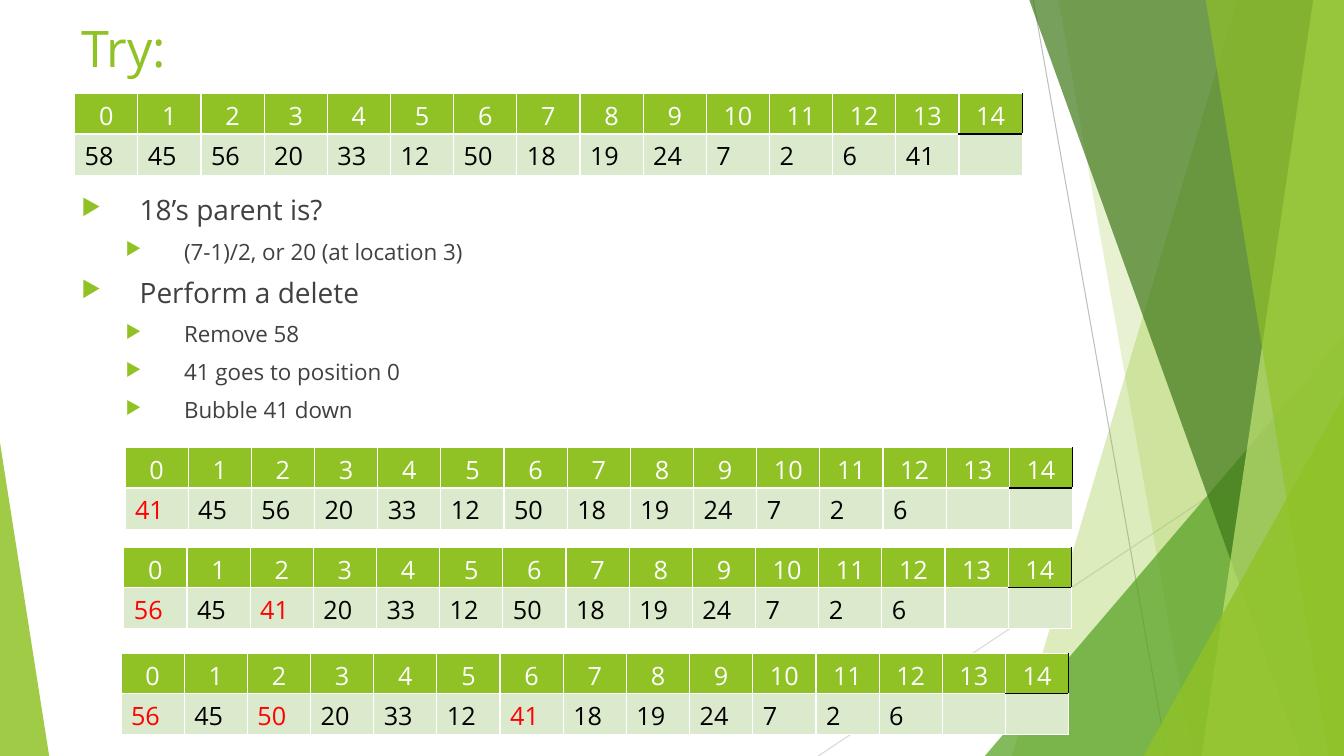
from lxml import etree
from pptx import Presentation
from pptx import util as u
from pptx.dml.color import RGBColor
from pptx.enum import shapes, text
from pptx.oxml import ns

GREEN = RGBColor(0x90, 0xC2, 0x26)
MID_GREEN = RGBColor(0x54, 0xA0, 0x21)
DARK_GREEN = RGBColor(0x3F, 0x78, 0x19)
LIGHT_GREEN = RGBColor(0xC0, 0xE4, 0x74)
PALE_GREEN = RGBColor(0xDB, 0xE9, 0xCD)
GREY = RGBColor(0xBF, 0xBF, 0xBF)
LIGHT_GREY = RGBColor(0xD9, 0xD9, 0xD9)
BODY_GREY = RGBColor(0x40, 0x40, 0x40)
WHITE = RGBColor(0xFF, 0xFF, 0xFF)
BLACK = RGBColor(0, 0, 0)
RED = RGBColor(0xFF, 0, 0)
FONT = "Open Sans"

WIDTH, HEIGHT = 33.87, 19.05
PANEL_TOP = -0.03

TITLE = "Try:"
TITLE_BOX = (1.8, 0.43, 23.88, 2.39)
BULLET_BOX = (1.8, 4.83, 27.41, 6.83)
BULLETS = [
    (0, "18’s parent is?"),
    (1, "(7-1)/2, or 20 (at location 3)"),
    (0, "Perform a delete"),
    (1, "Remove 58"),
    (1, "41 goes to position 0"),
    (1, "Bubble 41 down"),
]
LEVELS = [(20, 1.47), (16, 2.59)]
HANGING = 1.47

SLOTS = 15
TABLE_WIDTH = 23.88
ROW_HEIGHTS = (0.99, 1.04)
HEAPS = [
    (1.88, 2.36, [58, 45, 56, 20, 33, 12, 50, 18, 19, 24, 7, 2, 6, 41], ()),
    (3.15, 11.28, [41, 45, 56, 20, 33, 12, 50, 18, 19, 24, 7, 2, 6], (0,)),
    (3.12, 13.79, [56, 45, 41, 20, 33, 12, 50, 18, 19, 24, 7, 2, 6], (0, 2)),
    (3.05, 16.46, [56, 45, 50, 20, 33, 12, 41, 18, 19, 24, 7, 2, 6], (0, 2, 6)),
]

LINES = [
    ((26.04, 0, 29.41, HEIGHT), GREY),
    ((WIDTH, 10.24, 20.62, HEIGHT), LIGHT_GREY),
]
DECORATIONS = [
    ("panel", (31.19, 25.5), GREEN, 30),
    ("panel", (26.67, 30.05), GREEN, 20),
    ("triangle", (24.82, 8.46, 9.05, 10.59, 1), MID_GREEN, 72),
    ("panel", (25.93, 32.79), DARK_GREEN, 70),
    ("panel", (33.1, 30.28), LIGHT_GREEN, 70),
    ("panel", (30.38, 33.48), GREEN, 65),
    ("triangle", (28.82, 9.98, 5.05, 9.07, 1), GREEN, 80),
    ("triangle", (0, 11.15, 1.24, 7.9, 0), GREEN, 85),
]


def lengths(values):
    return [u.Cm(value) for value in values]


def add_element(parent, tag, **attributes):
    return etree.SubElement(parent, ns.qn(tag), attributes)


def write_run(paragraph, words, size, color):
    run = paragraph.add_run()
    run.text = words
    run.font.color.rgb = color
    for name, value in {"size": u.Pt(size), "name": FONT}.items():
        setattr(run.font, name, value)


def add_line(slide, ends, color):
    line = slide.shapes.add_connector(shapes.MSO_CONNECTOR.STRAIGHT, *lengths(ends))
    line.line.color.rgb = color
    line.line.width = u.Pt(0.75)
    add_element(line.element.spPr, "a:effectLst")


def add_decoration(slide, kind, geometry, color, opacity):
    if kind == "panel":
        top_left, bottom_left = geometry
        corners = [(WIDTH, PANEL_TOP), (WIDTH, HEIGHT), (bottom_left, HEIGHT)]
        builder = slide.shapes.build_freeform(u.Cm(top_left), u.Cm(PANEL_TOP))
        builder.add_line_segments([lengths(corner) for corner in corners])
        shape = builder.convert_to_shape()
    else:
        *box, apex = geometry
        shape = slide.shapes.add_shape(
            shapes.MSO_SHAPE.ISOSCELES_TRIANGLE, *lengths(box))
        shape.adjustments[0] = apex
    shape.shadow.inherit = False
    shape.fill.solid()
    shape.fill.fore_color.rgb = color
    shape.line.fill.background()
    fill_color = shape.element.spPr.find(".//" + ns.qn("a:srgbClr"))
    add_element(fill_color, "a:alpha", val=str(opacity * 1000))


def add_title(slide):
    title = slide.shapes.title
    for name, value in zip(("left", "top", "width", "height"), lengths(TITLE_BOX)):
        setattr(title, name, value)
    frame = title.text_frame
    frame_format = {"vertical_anchor": text.MSO_ANCHOR.TOP, "margin_top": 0,
                    "word_wrap": True}
    for name, value in frame_format.items():
        setattr(frame, name, value)
    paragraph = frame.paragraphs[0]
    paragraph.alignment = text.PP_ALIGN.LEFT
    write_run(paragraph, TITLE, 36, GREEN)
    slide.shapes.element.append(title.element)


def add_bullets(slide):
    frame = slide.shapes.add_textbox(*lengths(BULLET_BOX)).text_frame
    frame.word_wrap = True
    for index, (level, words) in enumerate(BULLETS):
        paragraph = frame.add_paragraph() if index else frame.paragraphs[0]
        size, indent = LEVELS[level]
        paragraph_format = {"level": level, "space_before": u.Pt(10),
                            "line_spacing": 0.9}
        for name, value in paragraph_format.items():
            setattr(paragraph, name, value)
        write_run(paragraph, words, size, BODY_GREY)
        properties = paragraph.element.get_or_add_pPr() if hasattr(
            paragraph, "element") else paragraph._p.get_or_add_pPr()
        properties.set("marL", str(u.Cm(indent)))
        properties.set("indent", str(-u.Cm(HANGING)))
        bullet_color = add_element(properties, "a:buClr")
        add_element(bullet_color, "a:srgbClr", val=str(GREEN))
        add_element(properties, "a:buSzPct", val="80000")
        add_element(properties, "a:buChar", char="▶")


def set_borders(cell, black_sides):
    properties = cell._tc.get_or_add_tcPr()
    for position, side in enumerate("LRTB"):
        border = etree.Element(ns.qn("a:ln" + side), w=str(u.Pt(1)))
        color = BLACK if side in black_sides else WHITE
        add_element(add_element(border, "a:solidFill"), "a:srgbClr", val=str(color))
        properties.insert(position, border)


def add_heap(slide, left, top, values, moved):
    box = lengths((left, top, TABLE_WIDTH, sum(ROW_HEIGHTS)))
    table = slide.shapes.add_table(2, SLOTS, *box).table
    for row, height in zip(table.rows, ROW_HEIGHTS):
        row.height = u.Cm(height)
    for slot in range(SLOTS):
        last = slot == SLOTS - 1
        value = str(values[slot]) if slot < len(values) else ""
        value_color = RED if slot in moved else BLACK
        rows = [
            (str(slot), WHITE, GREEN, text.PP_ALIGN.CENTER, "RB"),
            (value, value_color, PALE_GREEN, text.PP_ALIGN.LEFT, "T"),
        ]
        for row, (words, color, fill, alignment, black_sides) in enumerate(rows):
            cell = table.cell(row, slot)
            cell.fill.solid()
            cell.fill.fore_color.rgb = fill
            set_borders(cell, black_sides if last else "")
            paragraph = cell.text_frame.paragraphs[0]
            paragraph.alignment = alignment
            if words:
                write_run(paragraph, words, 18, color)


def main():
    presentation = Presentation()
    presentation.slide_width = u.Cm(WIDTH)
    presentation.slide_height = u.Cm(HEIGHT)
    slide = presentation.slides.add_slide(presentation.slide_layouts[5])
    for ends, color in LINES:
        add_line(slide, ends, color)
    for decoration in DECORATIONS:
        add_decoration(slide, *decoration)
    add_title(slide)
    add_bullets(slide)
    for heap in HEAPS:
        add_heap(slide, *heap)
    presentation.save("out.pptx")


if __name__ == "__main__":
    main()
